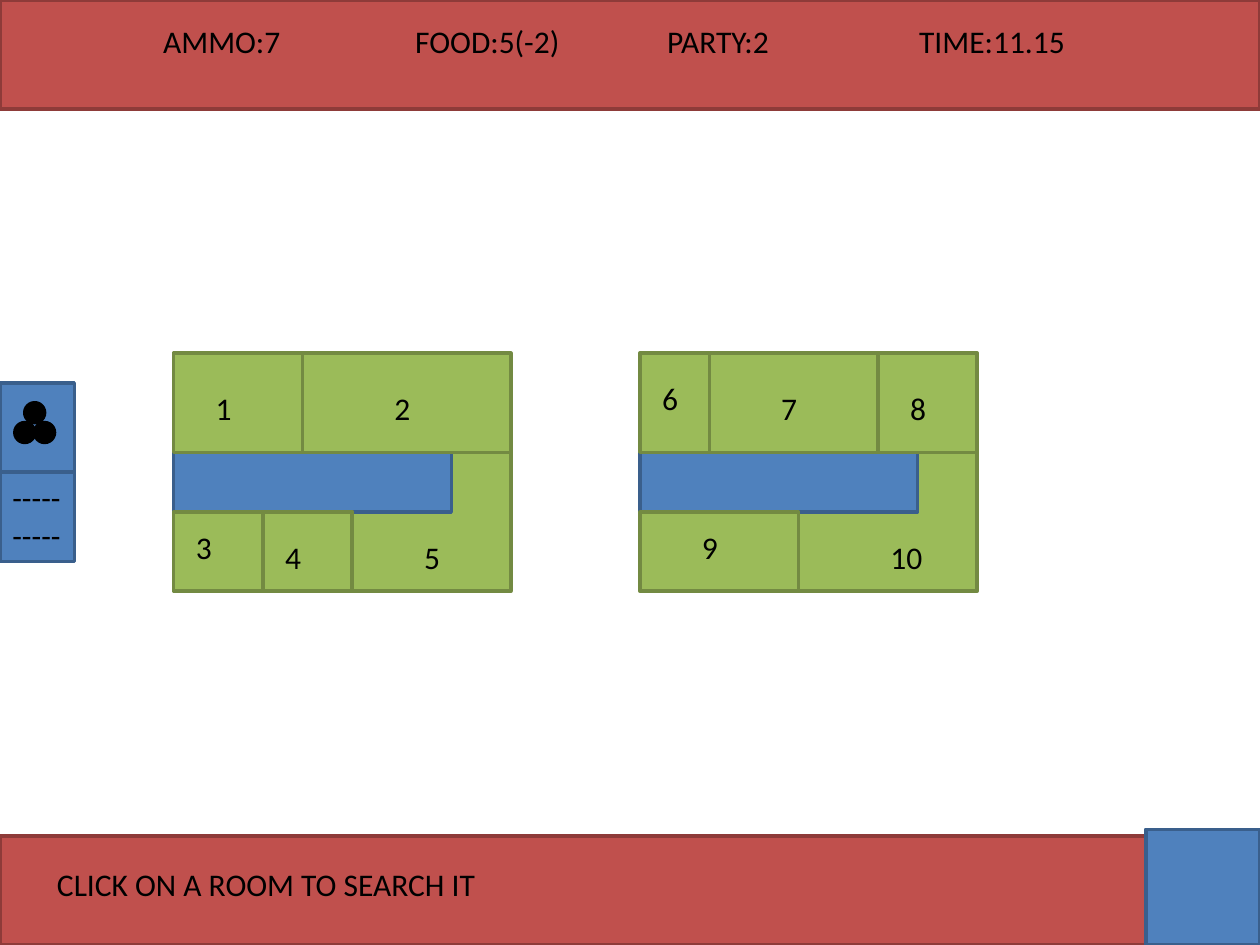
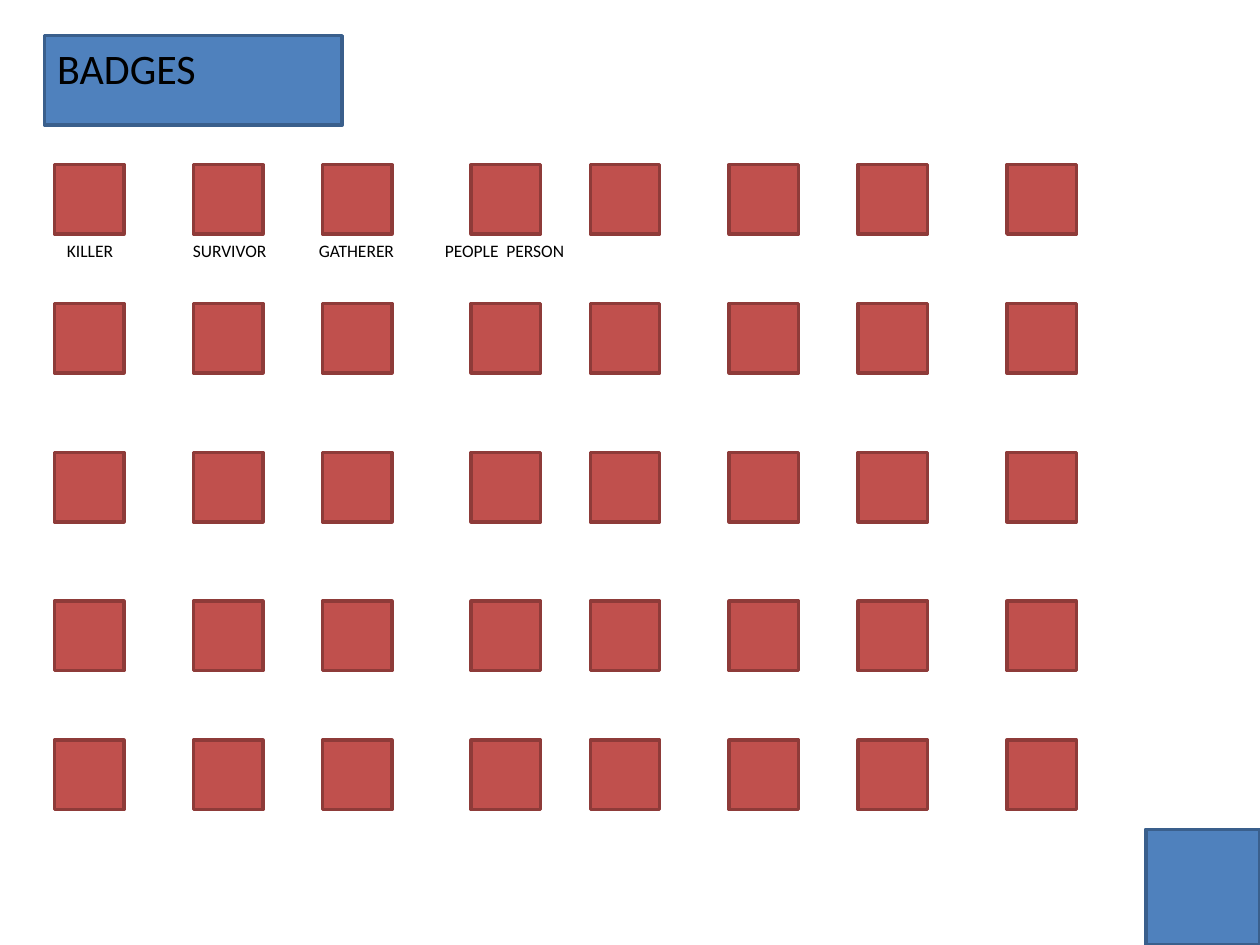
from dataclasses import dataclass
from itertools import accumulate

from lxml import etree
from pptx import Presentation
from pptx import util as u
from pptx.dml.color import RGBColor
from pptx.enum import shapes, text
from pptx.oxml import ns


@dataclass(frozen=True)
class Theme:
    # Each style is a fill and a line colour
    red: tuple = ("C0504D", "8E3B39")
    blue: tuple = ("4F81BD", "3A5F8C")
    green: tuple = ("9BBB59", "738A42")
    black: tuple = ("000000", "000000")
    ink: str = "000000"
    font: str = "Calibri"
    line: float = 2
    title: int = 24
    body: int = 18
    caption: int = 10


theme = Theme()
RECT, OVAL = shapes.MSO_SHAPE.RECTANGLE, shapes.MSO_SHAPE.OVAL

prs = Presentation()
prs.slide_width, prs.slide_height = u.Inches(10), u.Inches(7.5)
COLS, ROWS = 127, 95.25  # square grid cells across and down
CELL = prs.slide_width / COLS


def place(sp, col, row, cols, rows, style=None):
    """Set a shape on the grid and, given a style, paint it."""
    sp.left, sp.top, sp.width, sp.height = (
        u.Emu(round(n * CELL)) for n in (col, row, cols, rows))
    if style:
        sp.shadow.inherit = False
        sp.fill.solid()
        sp.fill.fore_color.rgb = RGBColor.from_string(style[0])
        sp.line.color.rgb = RGBColor.from_string(style[1])
        sp.line.width = u.Pt(theme.line)
    return sp


def write(sp, lines, size):
    """Write left-aligned lines from the top, with a tab stop every inch."""
    tf = sp.text_frame
    tf.word_wrap = True
    tf.auto_size = text.MSO_AUTO_SIZE.NONE
    tf.vertical_anchor = text.MSO_ANCHOR.TOP
    for i, line in enumerate(lines):
        p = tf.add_paragraph() if i else tf.paragraphs[0]
        p.alignment = text.PP_ALIGN.LEFT
        r = p.add_run()
        r.text = line
        r.font.name, r.font.size = theme.font, u.Pt(size)
        r.font.color.rgb = RGBColor.from_string(theme.ink)
        if "\t" in line:
            stops = etree.SubElement(p._p.get_or_add_pPr(), ns.qn("a:tabLst"))
            for inch in range(1, 10):
                etree.SubElement(stops, ns.qn("a:tab"), pos=str(u.Inches(inch)), algn="l")


TITLE_ONLY, BLANK = prs.slide_layouts[5], prs.slide_layouts[6]
search = prs.slides.add_slide(BLANK)
badges = prs.slides.add_slide(TITLE_ONLY)

# Search screen: status and message bands
s = search
BAND = 11
for row in (0, ROWS - BAND):
    place(s.shapes.add_shape(RECT, 0, 0, 0, 0), 0, row, COLS, BAND, theme.red)

# Corner button on both screens
for s in (search, badges):
    place(s.shapes.add_shape(RECT, 0, 0, 0, 0),
          COLS - 11.5, ROWS - 11.65, 11.5, 11.65, theme.blue)

# Band wording
s = search
status = place(s.shapes.add_textbox(0, 0, 0, 0), 2.5, 1.6, 122, 5)
write(status, ["\tAMMO:7\t\tFOOD:5(-2)\tPARTY:2\t\tTIME:11.15"], theme.body)
message = place(s.shapes.add_textbox(0, 0, 0, 0), 4.5, 86.6, 74, 5)
write(message, ["CLICK ON A ROOM TO SEARCH IT"], theme.body)

# Side tabs: three dots above, dashes below
TAB_W, TAB_H, TAB_TOP = 7.5, 9, 38.6
for row in (TAB_TOP + TAB_H, TAB_TOP):
    place(s.shapes.add_shape(RECT, 0, 0, 0, 0), 0, row, TAB_W, TAB_H, theme.blue)
for col, row in ((2.5, 2), (3.5, 4), (1.5, 4)):
    place(s.shapes.add_shape(OVAL, 0, 0, 0, 0), col, TAB_TOP + row, 2, 2, theme.black)
dashes = place(s.shapes.add_textbox(0, 0, 0, 0), 0, TAB_TOP + TAB_H, 10, TAB_H)
write(dashes, ["-----"] * 2, theme.body)

# Buildings: cells from the building's corner, back to front;
# room number, room box, corner of its label
CORRIDOR = ("", (0, 10, 28, 6), None)
buildings = {
    17.5: [("5", (18, 10, 16, 14), (24, 18)), CORRIDOR,
           ("3", (0, 16, 18, 8), (1, 17)),
           ("2", (13, 0, 21, 10), (21, 3)),
           ("1", (0, 0, 13, 10), (3, 3)),
           ("4", (9, 16, 9, 8), (10, 18))],
    64.5: [("10", (16, 10, 18, 14), (24, 18)), CORRIDOR,
           ("9", (0, 16, 16, 8), (5, 17)),
           ("8", (13, 0, 21, 10), (26, 3)),
           ("6", (0, 0, 14, 10), (1, 2)),
           ("7", (7, 0, 17, 10), (13, 3))],
}
TOP = 35.6
for left, rooms in buildings.items():
    for number, (col, row, cols, rows), _ in rooms:
        place(s.shapes.add_shape(RECT, 0, 0, 0, 0), left + col, TOP + row, cols, rows,
              theme.green if number else theme.blue)
    for number, _, label in rooms:
        if number:
            tb = place(s.shapes.add_textbox(0, 0, 0, 0),
                       left + label[0], TOP + label[1], 6, 5)
            write(tb, [number], theme.body)

# Badges screen: title
s = badges
title = place(s.shapes.title, 4.5, 3.6, 30, 9, theme.blue)
write(title, ["BADGES"], theme.title)

# Badge grid, from the steps between columns and rows
for row in accumulate((14, 15, 15, 14), initial=16.6):
    for col in accumulate((14, 13, 15, 12, 14, 13, 15), initial=5.5):
        place(s.shapes.add_shape(RECT, 0, 0, 0, 0), col, row, 7, 7, theme.red)

# Badge names under the first row
names = place(s.shapes.add_textbox(0, 0, 0, 0), 5.5, 23.6, 54, 3.4)
write(names, ["KILLER \tSURVIVOR\tGATHERER\tPEOPLE  PERSON \t"], theme.caption)

prs.save("out.pptx")
